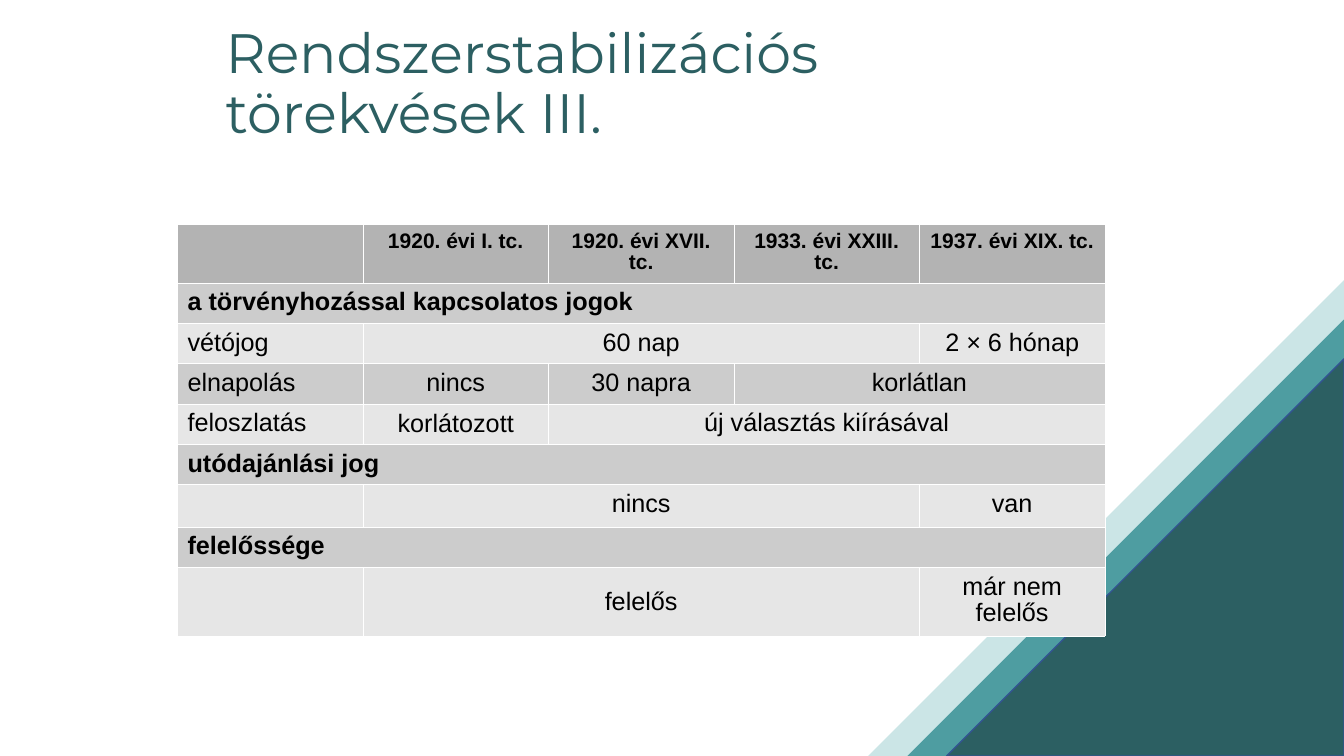
from dataclasses import dataclass

from lxml import etree
from pptx import Presentation
from pptx.dml.color import RGBColor
from pptx.enum.shapes import MSO_SHAPE
from pptx.enum.text import MSO_ANCHOR, PP_ALIGN
from pptx.oxml.ns import qn
from pptx.util import Inches, Pt

TRIANGLE = MSO_SHAPE.ISOSCELES_TRIANGLE
TOP, MIDDLE = MSO_ANCHOR.TOP, MSO_ANCHOR.MIDDLE
LEFT, CENTER = PP_ALIGN.LEFT, PP_ALIGN.CENTER

SLIDE_W, SLIDE_H = 13.33, 7.5
CORNER_TRIANGLES = [(4.72, "pale", None), (4.33, "teal", None), (3.94, "dark", "outline")]
COL_W = 1.84
ROW_HEIGHTS = [0.58] + [0.4] * 7 + [0.68]
ROWS = [
    [("", 1), ("1920. évi I. tc.", 1), ("1920. évi XVII. tc.", 1),
     ("1933. évi XXIII. tc.", 1), ("1937. évi XIX. tc.", 1)],
    [("a törvényhozással kapcsolatos jogok", 5)],
    [("vétójog", 1), ("60 nap", 3), ("2 × 6 hónap", 1)],
    [("elnapolás", 1), ("nincs", 1), ("30 napra", 1), ("korlátlan", 2)],
    [("feloszlatás", 1), ("korlátozott", 1), ("új választás kiírásával", 3)],
    [("utódajánlási jog", 5)],
    [("", 1), ("nincs", 3), ("van", 1)],
    [("felelőssége", 5)],
    [("", 1), ("felelős", 3), ("már nem felelős", 1)],
]
MIDDLE_CELLS = {"korlátozott", "felelős"}


@dataclass(frozen=True)
class Theme:
    """Colours, fonts and type sizes of the slide."""
    pale: str = "CBE5E6"
    teal: str = "4E9DA1"
    dark: str = "2C5F62"
    outline: str = "325491"
    text: str = "000000"
    border: str = "FFFFFF"
    header: str = "B3B3B3"
    bands: tuple = ("E6E6E6", "CCCCCC")
    title_font: str = "Montserrat"
    body_font: str = "Arial"
    title_size: float = 39.6
    header_size: float = 15
    body_size: float = 18


def write(tf, text, *, font, size, color, bold=False, align=LEFT, spacing=1.0):
    """Put one formatted paragraph into a text frame."""
    p = tf.paragraphs[0]
    p.alignment = align
    p.line_spacing = spacing
    r = p.add_run()
    r.text = text
    r.font.name = font
    r.font.size = Pt(size)
    r.font.bold = bold
    r.font.color.rgb = RGBColor.from_string(color)


class SlideBuilder:
    """Draws styled elements on the current slide."""

    def __init__(self, slide, theme):
        self.slide = slide
        self.theme = theme

    def corner_triangle(self, side, fill, line=None):
        """Add a right triangle in the lower right corner."""
        sp = self.slide.shapes.add_shape(
            TRIANGLE, Inches(SLIDE_W - side), Inches(SLIDE_H - side), Inches(side), Inches(side))
        sp.adjustments[0] = 1
        sp.shadow.inherit = False
        sp.fill.solid()
        sp.fill.fore_color.rgb = RGBColor.from_string(fill)
        if line:
            sp.line.color.rgb = RGBColor.from_string(line)
            sp.line.width = Pt(1)
        else:
            sp.line.fill.background()

    def title(self, text, x, y, w, h):
        """Add the wrapped slide title."""
        sp = self.slide.shapes.add_textbox(Inches(x), Inches(y), Inches(w), Inches(h))
        tf = sp.text_frame
        tf.word_wrap = True
        tf.vertical_anchor = MIDDLE
        write(tf, text, font=self.theme.title_font, size=self.theme.title_size,
              color=self.theme.dark, spacing=0.9)

    def style_cell(self, cell, fill):
        """Give a cell its margins, thin borders and fill."""
        cell.margin_left = cell.margin_right = Inches(0.1)
        cell.margin_top, cell.margin_bottom = Inches(0.07), Inches(0.05)
        tc_pr = cell._tc.get_or_add_tcPr()
        for side in ("a:lnL", "a:lnR", "a:lnT", "a:lnB"):
            ln = etree.SubElement(tc_pr, qn(side), w=str(Pt(0.06)))
            solid = etree.SubElement(ln, qn("a:solidFill"))
            etree.SubElement(solid, qn("a:srgbClr"), val=self.theme.border)
        cell.fill.solid()
        cell.fill.fore_color.rgb = RGBColor.from_string(fill)

    def table(self, rows, x, y, col_w, heights):
        """Add a banded table from rows of (text, column span) pairs."""
        t = self.theme
        cols = sum(span for _, span in rows[0])
        table = self.slide.shapes.add_table(
            len(rows), cols, Inches(x), Inches(y),
            Inches(col_w * cols), Inches(sum(heights))).table
        table.first_row = table.horz_banding = False
        for column in table.columns:
            column.width = Inches(col_w)
        for i, (row, height) in enumerate(zip(rows, heights)):
            table.rows[i].height = Inches(height)
            for cell in table.rows[i].cells:
                self.style_cell(cell, t.bands[i % 2] if i else t.header)
            col = 0
            for text, span in row:
                cell = table.cell(i, col)
                if span > 1:
                    cell.merge(table.cell(i, col + span - 1))
                if text:
                    cell.vertical_anchor = MIDDLE if text in MIDDLE_CELLS else TOP
                    write(cell.text_frame, text, font=t.body_font, color=t.text,
                          size=t.body_size if i else t.header_size,
                          bold=i == 0 or span == cols,
                          align=CENTER if col else LEFT, spacing=0.93)
                col += span


def main():
    """Build and save the slide."""
    prs = Presentation()
    prs.slide_width, prs.slide_height = Inches(SLIDE_W), Inches(SLIDE_H)
    theme = Theme()
    s = SlideBuilder(prs.slides.add_slide(prs.slide_layouts[6]), theme)
    for side, fill, line in CORNER_TRIANGLES:
        s.corner_triangle(side, getattr(theme, fill), line and getattr(theme, line))
    s.title("Rendszerstabilizációs törekvések III.", 2.14, 0.28, 9, 1.13)
    s.table(ROWS, 1.76, 2.22, COL_W, ROW_HEIGHTS)
    prs.save("out.pptx")


if __name__ == "__main__":
    main()
